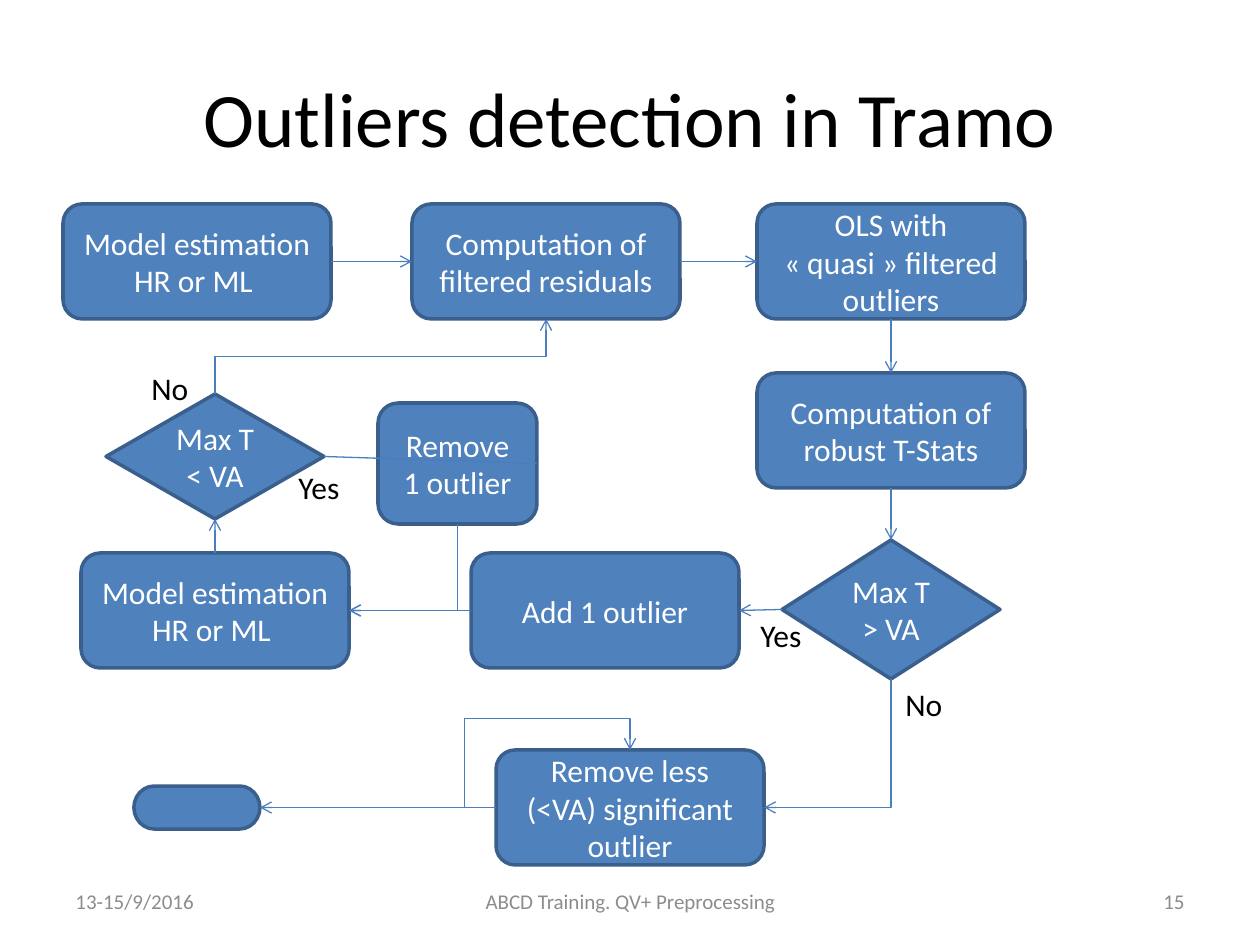
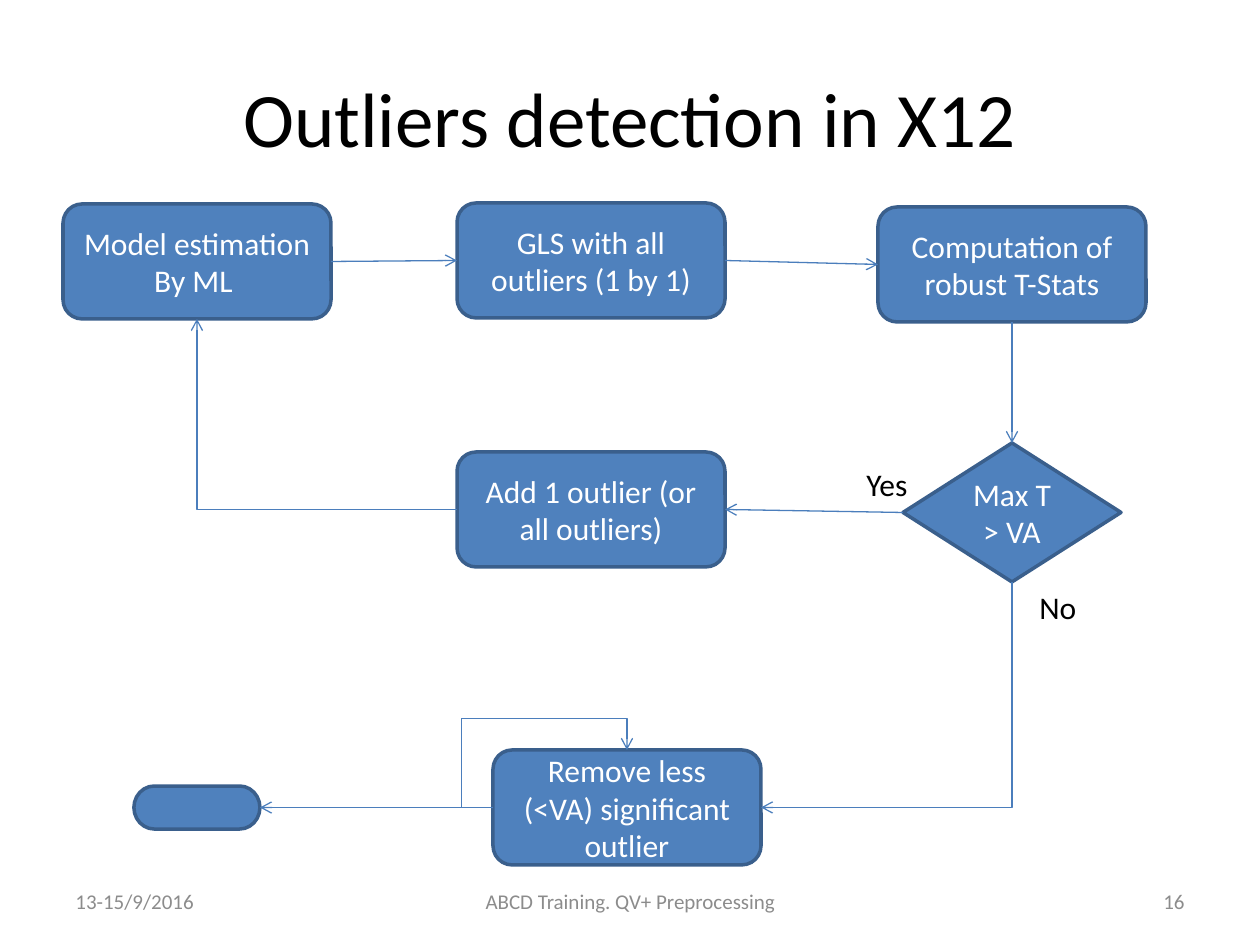
from dataclasses import dataclass
from enum import IntEnum

from lxml.etree import SubElement
from pptx import Presentation
from pptx.dml.color import RGBColor as Rgb
from pptx.enum.shapes import MSO_CONNECTOR as Wire, MSO_SHAPE as Form
from pptx.enum.text import (MSO_ANCHOR as Anchor, MSO_AUTO_SIZE as Fit,
                            PP_ALIGN as Align)
from pptx.oxml.ns import qn
from pptx.util import Pt

# Shared style
DPI = 126
SCALE = 914400 / DPI
FONT = "Calibri"
COLORS = {"fill": "4F81BD", "edge": "3A5F8C", "link": "4B7EBC",
          "light": "FFFFFF", "dark": "000000", "foot": "8C8C8C"}
BOX = (268, 115)
RHOMB = (218, 139)
PILL = (126, 43)
WIDTHS = {"No": 63, "Yes": 67}
RIGHT_ANGLE = 5400000


class Side(IntEnum):
    """Connection sites, numbered as the preset shapes number them."""
    TOP = 0
    LEFT = 1
    BASE = 2
    RIGHT = 3


@dataclass
class Node:
    name: str
    x: int
    y: int
    text: str = ""
    size: tuple[int, int] = BOX
    form: Form = Form.FLOWCHART_ALTERNATE_PROCESS


@dataclass
class Link:
    start: str
    out: Side
    end: str
    into: Side
    bend: str = ""  # preset of a bent link; straight if empty
    adjust: tuple[int, ...] = ()


@dataclass
class Label:
    text: str
    x: int
    y: int


@dataclass
class Chart:
    title: str
    page: int
    nodes: list[Node]
    links: list[Link]
    labels: list[Label]


def emu(px: float) -> int:
    return round(px * SCALE)


def color(key: str) -> Rgb:
    return Rgb.from_string(COLORS[key])


def write(shape, text: str, *, size: int = 18, tint: str = "dark",
          align=Align.LEFT, anchor=Anchor.MIDDLE, wrap: bool = True,
          fit=Fit.NONE) -> None:
    frame = shape.text_frame
    frame.text = text
    frame.word_wrap = wrap
    frame.auto_size = fit
    frame.vertical_anchor = anchor
    for para in frame.paragraphs:
        para.alignment = align
        para.font.name = FONT
        para.font.size = Pt(size)
        para.font.color.rgb = color(tint)


def add_text(slide, box: tuple[int, ...], text: str, **style) -> None:
    write(slide.shapes.add_textbox(*map(emu, box)), text, **style)


def add_node(slide, node: Node):
    shape = slide.shapes.add_shape(
        node.form, *map(emu, (node.x, node.y, *node.size)))
    shape.shadow.inherit = False
    shape.fill.solid()
    shape.fill.fore_color.rgb = color("fill")
    shape.line.color.rgb = color("edge")
    shape.line.width = Pt(2)
    if node.text:
        write(shape, node.text, tint="light", align=Align.CENTER)
    return shape


def site(shape, side: Side) -> tuple[float, float]:
    """Midpoint of one side of a shape."""
    fx, fy = {Side.TOP: (.5, 0), Side.LEFT: (0, .5),
              Side.BASE: (.5, 1), Side.RIGHT: (1, .5)}[side]
    return shape.left + fx * shape.width, shape.top + fy * shape.height


def add_link(slide, link: Link, shapes: dict) -> None:
    first, last = shapes[link.start], shapes[link.end]
    (x1, y1), (x2, y2) = site(first, link.out), site(last, link.into)
    turn = bool(link.bend) and link.out in (Side.TOP, Side.BASE)
    if turn:  # lay the link flat about its centre, then rotate it
        mx, my = (x1 + x2) / 2, (y1 + y2) / 2
        u, v = (y2 - y1) / 2, (x1 - x2) / 2
        x1, y1, x2, y2 = mx - u, my - v, mx + u, my + v
    kind = Wire.ELBOW if link.bend else Wire.STRAIGHT
    wire = slide.shapes.add_connector(kind, *map(round, (x1, y1, x2, y2)))
    wire.line.color.rgb = color("link")
    wire.line.width = Pt(0.75)
    props = wire._element.spPr
    if link.bend:
        geom = props.find(qn("a:prstGeom"))
        geom.set("prst", link.bend)
        guides = geom.find(qn("a:avLst"))
        for i, value in enumerate(link.adjust, 1):
            SubElement(guides, qn("a:gd"), name=f"adj{i}", fmla=f"val {value}")
        if turn:
            props.find(qn("a:xfrm")).set("rot", str(RIGHT_ANGLE))
    else:
        wire.begin_connect(first, link.out)
        wire.end_connect(last, link.into)
    SubElement(props.find(qn("a:ln")), qn("a:tailEnd"), type="arrow")
    SubElement(props, qn("a:effectLst"))


def add_frame(slide, title: str, page: int) -> None:
    """Title and footer line."""
    add_text(slide, (63, 38, 1134, 157), title, size=44, align=Align.CENTER)
    for x, width, text, align in (
            (63, 294, "13-15/9/2016", Align.LEFT),
            (431, 399, "ABCD Training. QV+ Preprocessing", Align.CENTER),
            (903, 294, str(page), Align.RIGHT)):
        add_text(slide, (x, 876, width, 50), text,
                 size=12, tint="foot", align=align)


def draw(deck, chart: Chart) -> None:
    slide = deck.slides.add_slide(deck.slide_layouts[6])
    add_frame(slide, chart.title, chart.page)
    shapes = {node.name: add_node(slide, node) for node in chart.nodes}
    for link in chart.links:
        add_link(slide, link, shapes)
    for label in chart.labels:
        add_text(slide, (label.x, label.y, WIDTHS[label.text], 50), label.text,
                 anchor=Anchor.TOP, wrap=False, fit=Fit.SHAPE_TO_FIT_TEXT)


def finish(x: int) -> list[Node]:
    """Last step, which repeats, and the end mark."""
    return [Node("prune", x, 750, "Remove less (<VA) significant outlier"),
            Node("end", 134, 786, size=PILL, form=Form.FLOWCHART_TERMINATOR)]


# Links that close both charts
CLOSE = [
    Link("test", Side.BASE, "prune", Side.RIGHT, "bentConnector2"),
    Link("prune", Side.LEFT, "prune", Side.TOP, "bentConnector4",
         (-23500, 155200)),
    Link("prune", Side.LEFT, "end", Side.RIGHT),
]

TRAMO = Chart(
    "Outliers detection in Tramo", 15,
    [Node("model", 63, 204, "Model estimation \nHR or ML "),
     Node("resid", 412, 204, "Computation of filtered residuals"),
     Node("ols", 757, 204, "OLS with «\u00a0quasi\u00a0» filtered outliers"),
     Node("stats", 757, 373, "Computation of robust T-Stats"),
     Node("test", 782, 540, "Max T > VA", RHOMB, Form.DIAMOND),
     Node("add", 471, 553, "Add 1 outlier"),
     Node("drop", 378, 403, "Remove 1 outlier", (159, 121)),
     Node("check", 106, 394, "Max T < VA", (218, 125), Form.DIAMOND),
     Node("again", 81, 553, "Model estimation \nHR or ML "),
     *finish(496)],
    [Link("model", Side.RIGHT, "resid", Side.LEFT),
     Link("resid", Side.RIGHT, "ols", Side.LEFT),
     Link("ols", Side.BASE, "stats", Side.TOP),
     Link("stats", Side.BASE, "test", Side.TOP),
     Link("test", Side.LEFT, "add", Side.RIGHT),
     Link("add", Side.LEFT, "again", Side.RIGHT),
     Link("again", Side.TOP, "check", Side.BASE),
     Link("check", Side.RIGHT, "drop", Side.RIGHT),
     Link("drop", Side.BASE, "again", Side.RIGHT, "bentConnector2"),
     Link("check", Side.TOP, "resid", Side.BASE, "bentConnector3", (50000,)),
     *CLOSE],
    [Label("No", 139, 363), Label("No", 893, 679),
     Label("Yes", 286, 462), Label("Yes", 748, 610)])

X12 = Chart(
    "Outliers detection in X12", 16,
    [Node("model", 63, 204, "Model estimation \nBy ML "),
     Node("gls", 457, 203, "GLS with all outliers (1 by 1)"),
     Node("stats", 878, 207, "Computation of robust T-Stats"),
     Node("test", 903, 443, "Max T > VA", RHOMB, Form.DIAMOND),
     Node("add", 457, 452, "Add 1 outlier (or all outliers)"),
     *finish(493)],
    [Link("model", Side.RIGHT, "gls", Side.LEFT),
     Link("gls", Side.RIGHT, "stats", Side.LEFT),
     Link("stats", Side.BASE, "test", Side.TOP),
     Link("test", Side.LEFT, "add", Side.RIGHT),
     Link("add", Side.LEFT, "model", Side.BASE, "bentConnector2"),
     *CLOSE],
    [Label("No", 1027, 582), Label("Yes", 854, 459)])

deck = Presentation()
deck.slide_width, deck.slide_height = emu(10 * DPI), emu(7.5 * DPI)
for chart in (TRAMO, X12):
    draw(deck, chart)
deck.save("out.pptx")
